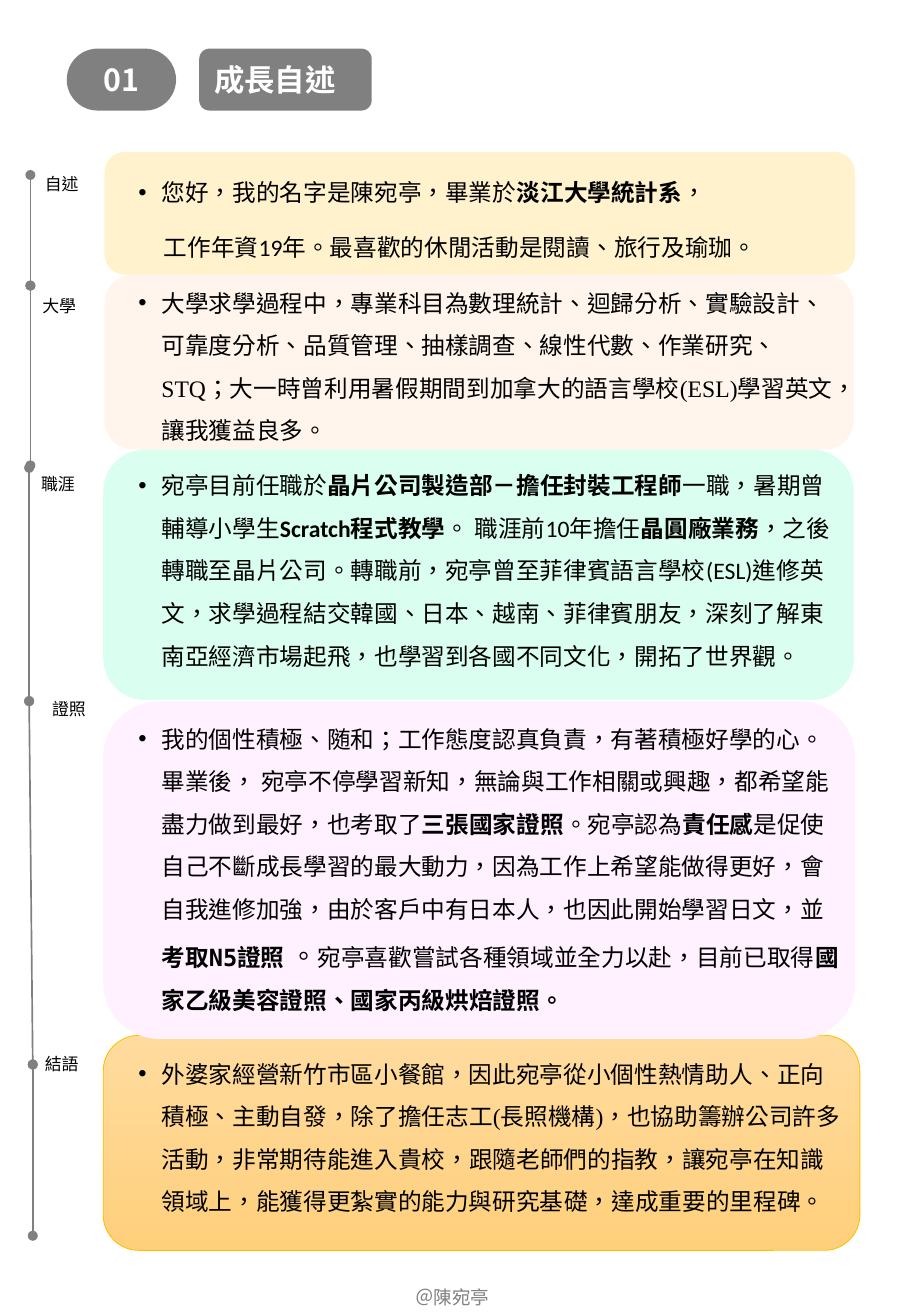
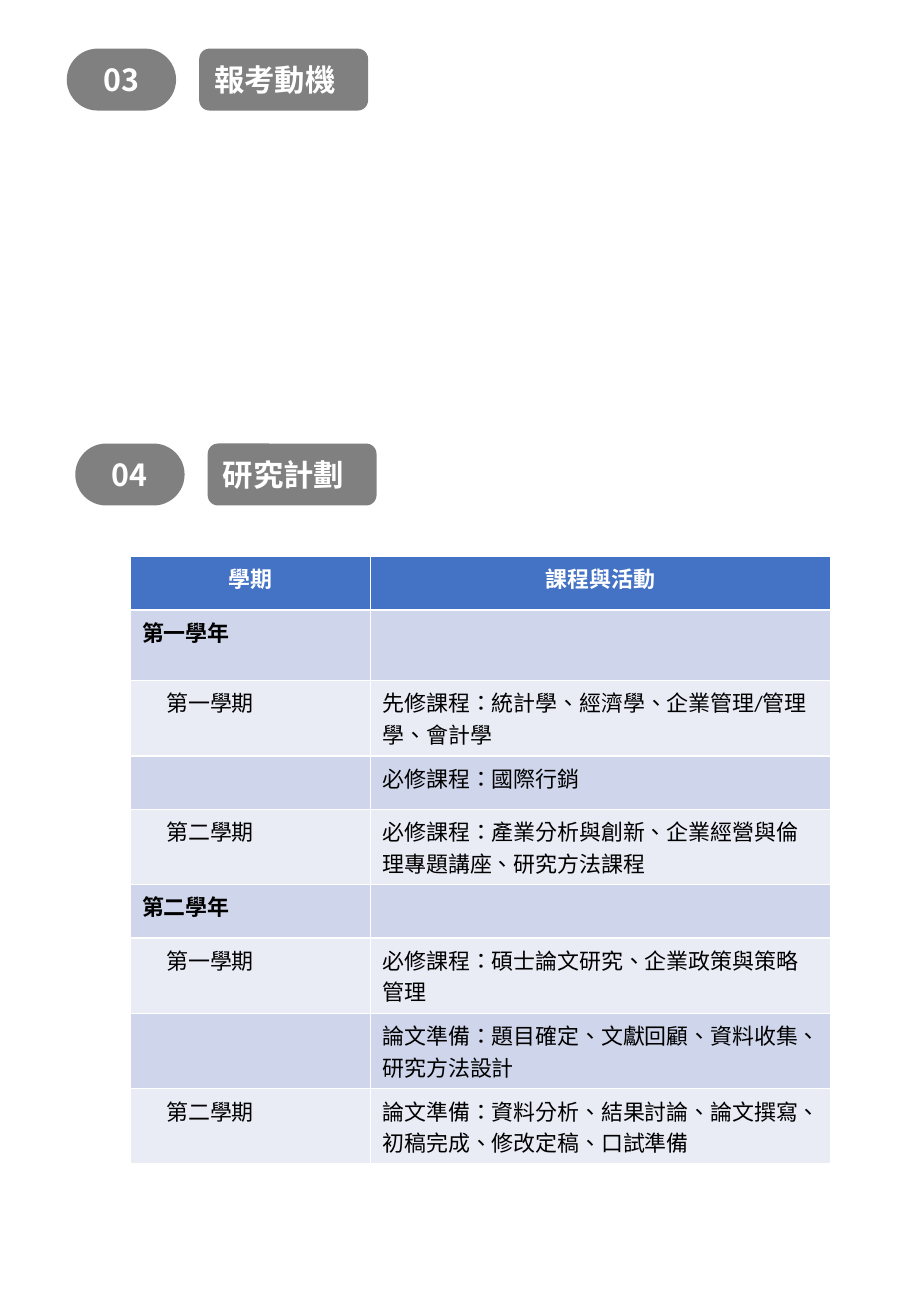
from dataclasses import dataclass

from lxml import etree
from pptx import Presentation
from pptx.dml.color import RGBColor
from pptx.enum.lang import MSO_LANGUAGE_ID
from pptx.enum.shapes import MSO_CONNECTOR, MSO_SHAPE
from pptx.enum.text import MSO_ANCHOR, PP_ALIGN
from pptx.oxml.ns import qn
from pptx.util import Inches, Pt


@dataclass(frozen=True)
class Theme:
    grey: str = "808080"
    white: str = "FFFFFF"
    black: str = "000000"
    header: str = "4472C4"
    bands: tuple = ("CFD5EA", "E9EBF5")
    gold: str = "FFC000"
    gold_gradient: tuple = ("FFDB9E", "FFD07C")
    sans: str = "Noto Sans CJK SC"
    body: str = "Calibri"
    serif: str = "Times New Roman"
    mono: str = "DejaVu Sans Mono"
    arial: str = "Arial"
    title_size: int = 18
    body_size: int = 14
    table_size: int = 13
    footer_size: int = 11
    label_size: int = 10


T = Theme()


def style(paragraph, name, size, color, bold=None):
    font = paragraph.font
    font.name, font.size, font.bold = name, Pt(size), bold
    font.color.rgb = RGBColor.from_string(color)
    font.language_id = MSO_LANGUAGE_ID.TRADITIONAL_CHINESE


def add_panel(slide, left, top, width, height, color):
    """Add a borderless rounded rectangle in one plain colour."""
    panel = slide.shapes.add_shape(MSO_SHAPE.ROUNDED_RECTANGLE, Inches(left),
                                   Inches(top), Inches(width), Inches(height))
    panel.shadow.inherit = False
    panel.fill.solid()
    panel.fill.fore_color.rgb = RGBColor.from_string(color)
    panel.line.fill.background()
    return panel


prs = Presentation()
prs.slide_width, prs.slide_height = Inches(7.5), Inches(10.83)
blank = prs.slide_layouts[6]
story, plan = prs.slides.add_slide(blank), prs.slides.add_slide(blank)

# Story panels, from back to front
closing = add_panel(story, 0.85, 8.52, 6.23, 1.77, T.gold)
closing.fill.gradient()
closing.fill.gradient_angle = 270
for stop, color in zip(closing.fill.gradient_stops, T.gold_gradient):
    stop.color.rgb = RGBColor.from_string(color)
closing.line.color.rgb = RGBColor.from_string(T.gold)
closing.line.width = Pt(0.5)

add_panel(story, 0.86, 1.25, 6.18, 1.01, "FFF2CC")
add_panel(story, 0.85, 3.7, 6.18, 2.06, "DAFFF1")
add_panel(story, 0.85, 5.77, 6.19, 2.78, "FFF1FF")
university = add_panel(story, 0.86, 2.26, 6.17, 1.44, "FFE4CA")
tint = university.fill._xPr.find(".//" + qn("a:srgbClr"))
etree.SubElement(tint, qn("a:alpha"), val="34000")

# Section headings: a numbered pill and a title plate
for slide, left, top, plate_width, number, title in [
    (story, 0.55, 0.4, 1.42, "01", "成長自述"),
    (plan, 0.55, 0.4, 1.39, "03", "報考動機"),
    (plan, 0.62, 3.65, 1.39, "04", "研究計劃"),
]:
    plate = add_panel(slide, left + 1.09, top, plate_width, 0.51, T.grey)
    pill = add_panel(slide, left, top, 0.9, 0.51, T.grey)
    pill.adjustments[0] = 0.5
    for heading, words, align in [(plate, title, PP_ALIGN.LEFT),
                                  (pill, number, PP_ALIGN.CENTER)]:
        heading.text_frame.text = words
        heading.text_frame.vertical_anchor = MSO_ANCHOR.MIDDLE
        paragraph = heading.text_frame.paragraphs[0]
        paragraph.alignment = align
        style(paragraph, T.sans, T.title_size, T.white, True)

# Footer and timeline labels
for left, top, width, height, words, name, size, color in [
    (3.32, 10.53, 0.97, 0.29, "＠陳宛亭", T.sans, T.footer_size, T.grey),
] + [
    (left, top, 0.61, 0.27, words, T.body, T.label_size, T.black)
    for left, top, words in [(0.27, 1.38, "自述"), (0.25, 2.38, "大學"),
                             (0.24, 3.85, "職涯"), (0.33, 5.7, "證照"),
                             (0.27, 8.62, "結語")]
]:
    label = story.shapes.add_textbox(Inches(left), Inches(top),
                                     Inches(width), Inches(height))
    label.text_frame.word_wrap = True
    label.text_frame.text = words
    style(label.text_frame.paragraphs[0], name, size, color)

# Timeline with a dot at both ends of each stretch
for x1, y1, x2, y2 in [
    (0.25, 1.44, 0.25, 2.35), (0.25, 2.35, 0.25, 3.83),
    (0.24, 3.85, 0.24, 5.77), (0.24, 5.77, 0.27, 8.76),
    (0.27, 8.76, 0.27, 10.17),
]:
    stretch = story.shapes.add_connector(MSO_CONNECTOR.STRAIGHT, Inches(x1),
                                         Inches(y1), Inches(x2), Inches(y2))
    stretch.line.color.rgb = RGBColor.from_string(T.grey)
    stretch.line.width = Pt(1)
    for end in ("a:headEnd", "a:tailEnd"):
        etree.SubElement(stretch.line._ln, qn(end), type="oval")
    etree.SubElement(stretch._element.spPr, qn("a:effectLst"))

# Story text: space before, bullet, font, then runs of (text, overrides)
BOLD = {"bold": True}
SERIF = {"name": T.serif}
BODY = {"name": T.body}
paragraphs = [
    (0, True, T.body, [
        ("您好，我的名字是陳宛亭，畢業於", {}), ("淡江大學統計系", BOLD), ("，", {})]),
    (7.5, False, T.body, [
        ("工作年資19年。最喜歡的休閒活動是閱讀", {}), ("、", SERIF), ("旅行及瑜珈。", {})]),
    (7.5, True, T.serif, [
        ("大學求學過程中，專業科目為數理統計、迴歸分析、實驗設計、可靠度分析、"
         "品質管理、抽樣調查、線性代數、作業研究、STQ；大一時曾利用暑假期間到"
         "加拿大的語言學校(ESL)學習英文，讓我獲益良多。", {})]),
    (7.5, True, T.body, [
        ("宛亭目前任職於", {}), ("晶片公司製造部－擔任封裝工程師", BOLD),
        ("一職，暑期曾輔導小學生", {}), ("Scratch程式教學", BOLD),
        ("。 職涯前10年擔任", {}), ("晶圓廠業務", BOLD),
        ("，之後轉職至晶片公司。轉職前，宛亭曾至菲律賓語言學校(ESL)進修英文，"
         "求學過程結交韓國、日本、越南、菲律賓朋友，深刻了解東南亞經濟市場起飛，"
         "也學習到各國不同文化，開拓了世界觀。", {})]),
    (24, True, T.mono, [
        ("我的個性積極、随和；工作態度認真負責，有著積極好學的心", {}), ("。", SERIF),
        ("畢業後， 宛亭不停學習新知，無論與工作相關或興趣，都希望能盡力做到最好，"
         "也考取了", {}),
        ("三張國家證照", BOLD), ("。宛亭認為", SERIF), ("責任感", BOLD),
        ("是促使自己不斷成長學習的最大動力，因為工作上希望能做得更好，"
         "會自我進修加強，由於客戶中有日本人，也因此開始學習日文，並", {}),
        ("考取N5證照", BOLD), (" 。", {"name": T.serif, "size": Pt(16)}),
        ("宛亭喜歡嘗試各種領域並全力以赴，目前已取得", SERIF),
        ("國家乙級美容證照", BOLD | SERIF),
        ("、國家丙級烘焙證照", BOLD | {"name": T.arial}), ("。", BOLD | SERIF)]),
    (18.5, True, T.serif, [
        ("外婆家經營新竹市區小餐館，因此宛亭從小個性熱情助人", {}), ("、", BODY),
        ("正向積極", {}), ("、", BODY),
        ("主動自發，除了擔任志工(長照機構)，也協助籌辦公司許多活動，非常", {}),
        ("期待能進入貴校，跟隨老師們的指教，讓宛亭在知識領域上，"
         "能獲得更紮實的能力與研究基礎，達成重要的里程碑。", BODY)]),
]
frame = story.shapes.add_textbox(Inches(1.04), Inches(1.3),
                                 Inches(5.99), Inches(9.23)).text_frame
frame.word_wrap = True
for index, (space, bulleted, name, runs) in enumerate(paragraphs):
    paragraph = frame.add_paragraph() if index else frame.paragraphs[0]
    paragraph.line_spacing = 1.5
    paragraph.space_before = Pt(space)
    properties = paragraph._p.get_or_add_pPr()
    if bulleted:
        properties.set("marL", str(Inches(0.19)))
        properties.set("indent", str(-Inches(0.19)))
        etree.SubElement(properties, qn("a:buFont"), typeface=T.arial)
        etree.SubElement(properties, qn("a:buChar"), char="•")
    else:
        properties.set("marL", str(Inches(0.21)))
    style(paragraph, name, T.body_size, T.black)
    for words, overrides in runs:
        run = paragraph.add_run()
        run.text = words
        for attribute, value in overrides.items():
            setattr(run.font, attribute, value)

# Study plan
schedule = [
    ("學期", "課程與活動", 0.44),
    ("第一學年", "", 0.58),
    ("第一學期", "先修課程：統計學、經濟學、企業管理/管理學、會計學", 0.58),
    ("", "必修課程：國際行銷", 0.44),
    ("第二學期", "必修課程：產業分析與創新、企業經營與倫理專題講座、研究方法課程", 0.58),
    ("第二學年", "", 0.44),
    ("第一學期", "必修課程：碩士論文研究、企業政策與策略管理", 0.58),
    ("", "論文準備：題目確定、文獻回顧、資料收集、研究方法設計", 0.58),
    ("第二學期", "論文準備：資料分析、結果討論、論文撰寫、初稿完成、修改定稿、口試準備", 0.58),
]
table = plan.shapes.add_table(len(schedule), 2, Inches(1.07), Inches(4.58),
                              Inches(5.77), Inches(4.8)).table
table.columns[0].width, table.columns[1].width = Inches(1.98), Inches(3.79)
for row, (term, courses, height) in enumerate(schedule):
    table.rows[row].height = Inches(height)
    is_header, is_year = row == 0, term.endswith("學年")
    for column, words in enumerate((term, courses)):
        cell = table.cell(row, column)
        cell.fill.solid()
        cell.fill.fore_color.rgb = RGBColor.from_string(
            T.header if is_header else T.bands[(row - 1) % 2])
        if not words:
            continue
        cell.text = words
        if words.endswith("學期") and not is_header:
            cell.margin_left = Inches(0.3)
        paragraph = cell.text_frame.paragraphs[0]
        paragraph.alignment = PP_ALIGN.CENTER if is_header else PP_ALIGN.LEFT
        style(paragraph, T.body, T.table_size,
              T.white if is_header else T.black, is_header or is_year)

prs.save("out.pptx")
